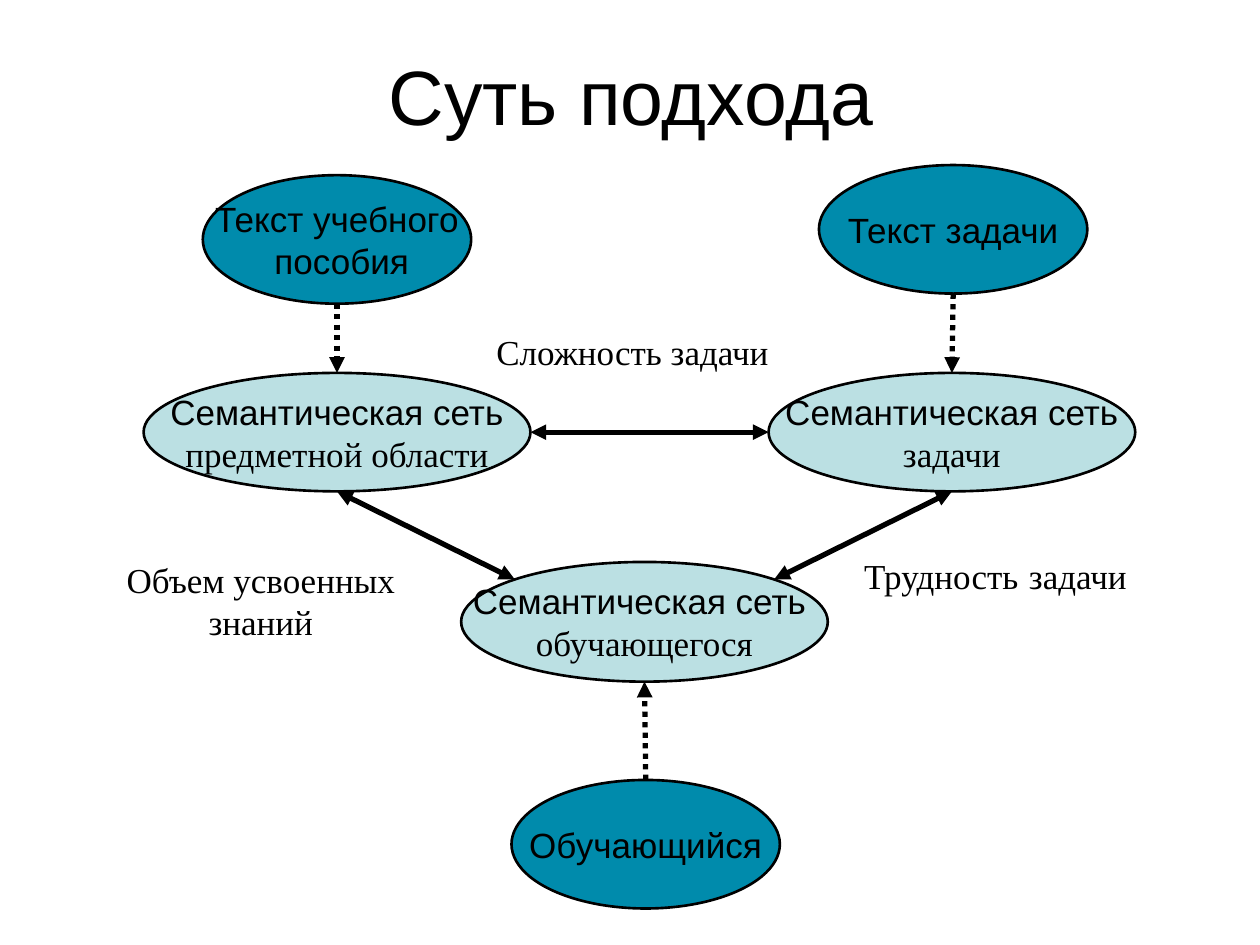
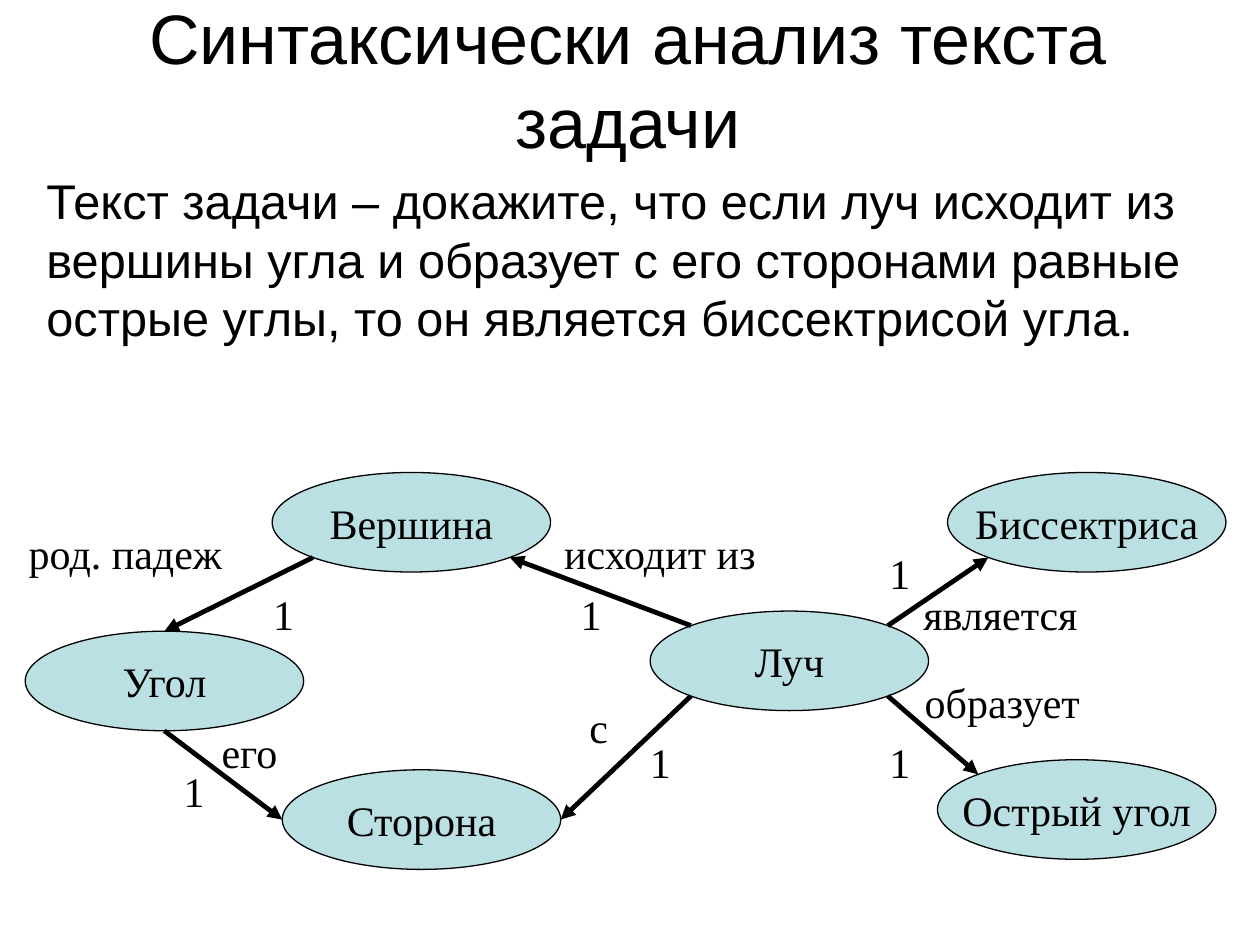
import math

from lxml import etree
from pptx import Presentation
from pptx import util as u
from pptx.dml import color
from pptx.enum import dml, shapes, text
from pptx.oxml import ns

HUES = {"ink": "000000", "pale": "BBE0E3", "deep": "008BAC"}
SANS = "Arial"
SERIF = "Times New Roman"
SITES = ["e", "se", "s", "sw", "w", "nw", "n", "ne"]


class Deck:
    def __init__(self):
        self.file = Presentation()
        self.file.slide_width = u.Inches(10)
        self.file.slide_height = u.Inches(7.5)
        self.slide = None

    def page(self):
        self.slide = self.file.slides.add_slide(self.file.slide_layouts[6])

    def hue(self, name):
        return color.RGBColor.from_string(HUES[name])

    def letter(self, frame, lines, align, anchor, wrap):
        frame.word_wrap = wrap
        frame.vertical_anchor = anchor
        for i, runs in enumerate(lines):
            para = frame.paragraphs[0] if i == 0 else frame.add_paragraph()
            para.alignment = align
            for words, size, font in runs:
                run = para.add_run()
                run.text = words
                run.font.size = u.Pt(size)
                run.font.name = font
                run.font.color.rgb = self.hue("ink")

    def box(self, at, lines, align, anchor=text.MSO_ANCHOR.TOP, wrap=True):
        frame = self.slide.shapes.add_textbox(*map(u.Inches, at)).text_frame
        self.letter(frame, lines, align, anchor, wrap)
        return frame

    def title(self, at, words, size):
        self.box(at, [[(words, size, SANS)]], text.PP_ALIGN.CENTER, text.MSO_ANCHOR.MIDDLE)

    def body(self, at, words, size):
        frame = self.box(at, [[(words, size, SANS)]], text.PP_ALIGN.LEFT)
        frame.paragraphs[0].space_before = u.Pt(7.5)

    def label(self, at, lines, align=text.PP_ALIGN.LEFT):
        frame = self.box(at, lines, align, wrap=False)
        frame.auto_size = text.MSO_AUTO_SIZE.SHAPE_TO_FIT_TEXT

    def oval(self, at, lines, fill, edge):
        oval = self.slide.shapes.add_shape(shapes.MSO_SHAPE.OVAL, *map(u.Inches, at))
        oval.shadow.inherit = False
        oval.fill.solid()
        oval.fill.fore_color.rgb = self.hue(fill)
        oval.line.color.rgb = self.hue("ink")
        oval.line.width = u.Pt(edge)
        self.letter(oval.text_frame, lines, text.PP_ALIGN.CENTER, text.MSO_ANCHOR.MIDDLE, False)
        return oval

    def spot(self, oval, site):
        turn = math.radians(45 * SITES.index(site))
        x = oval.left + oval.width / 2 * (1 + math.cos(turn))
        y = oval.top + oval.height / 2 * (1 + math.sin(turn))
        return round(x), round(y)

    def arrow(self, start, out, end, into, width, both=False, dots=False):
        ends = self.spot(start, out) + self.spot(end, into)
        wire = self.slide.shapes.add_connector(shapes.MSO_CONNECTOR.STRAIGHT, *ends)
        wire.line.color.rgb = self.hue("ink")
        wire.line.width = u.Pt(width)
        if dots:
            wire.line.dash_style = dml.MSO_LINE.ROUND_DOT
        props = wire._element.spPr
        line = props.find(ns.qn("a:ln"))
        for tip in ["headEnd", "tailEnd"] if both else ["tailEnd"]:
            etree.SubElement(line, ns.qn("a:" + tip), type="triangle")
        etree.SubElement(props, ns.qn("a:effectLst"))


def method(deck):
    deck.page()
    deck.title((0.51, 0.13, 9, 1.25), "Суть подхода", 44)

    def net(at, head, tail):
        return deck.oval(at, [[(head, 20, SANS)], [(tail, 20, SERIF)]], "pale", 1.5)

    def source(x, y, *lines):
        return deck.oval((x, y, 2.13, 1.02), [[(line, 20, SANS)] for line in lines], "deep", 1.5)

    task = net((6.1, 2.96, 2.91, 0.94), "Семантическая сеть", "задачи")
    field = net((1.14, 2.96, 3.07, 0.94), "Семантическая сеть", "предметной области")
    pupil = net((3.66, 4.46, 2.91, 0.95), "Семантическая сеть ", "обучающегося")
    for start, out, end, into in [
        (field, "e", task, "w"),
        (pupil, "ne", task, "s"),
        (field, "s", pupil, "nw"),
    ]:
        deck.arrow(start, out, end, into, 3, both=True)

    deck.label((3.84, 2.57, 2.81, 0.44), [[("Сложность задачи", 20, SERIF)]])
    deck.label((6.76, 4.3, 2.73, 0.5),
               [[("Трудность", 20, SERIF), (" ", 24, SERIF), ("задачи", 20, SERIF)]])
    deck.label((0.7, 4.38, 2.74, 0.77),
               [[("Объем усвоенных", 20, SERIF)], [("знаний", 20, SERIF)]],
               text.PP_ALIGN.CENTER)

    book = source(1.61, 1.39, "Текст учебного", " пособия")
    quiz = source(6.5, 1.31, "Текст задачи")
    learner = source(4.06, 6.19, "Обучающийся")
    for start, out, end, into in [
        (learner, "n", pupil, "s"),
        (quiz, "s", task, "n"),
        (book, "s", field, "n"),
    ]:
        deck.arrow(start, out, end, into, 3, dots=True)


def syntax(deck):
    deck.page()
    deck.title((0.16, 0, 9.65, 1.25), "Синтаксически анализ текста задачи", 40)
    deck.body((0.27, 1.31, 9.45, 1.76),
              "Текст задачи – докажите, что если луч исходит из вершины угла и образует "
              "с его сторонами равные острые углы, то он является биссектрисой угла.", 27.8)

    def term(x, y, words):
        return deck.oval((x, y, 2.21, 0.79), [[(words, 24, SERIF)]], "pale", 0.75)

    angle = term(0.2, 5.01, "Угол")
    side = term(2.24, 6.11, "Сторона")
    ray = term(5.16, 4.85, "Луч")
    halver = term(7.52, 3.75, "Биссектриса")
    acute = term(7.44, 6.03, "Острый угол")
    vertex = term(2.16, 3.75, "Вершина")
    for start, out, end, into in [
        (angle, "s", side, "w"),
        (vertex, "sw", angle, "n"),
        (ray, "sw", side, "e"),
        (ray, "nw", vertex, "se"),
        (ray, "ne", halver, "sw"),
        (ray, "se", acute, "nw"),
    ]:
        deck.arrow(start, out, end, into, 2.75)

    counts = [(2.07, 4.62), (1.36, 6.03), (5.06, 5.8), (4.51, 4.62), (6.96, 4.3), (6.96, 5.8)]
    links = [
        (4.38, 4.14, 2.06, "исходит из"),
        (0.13, 4.14, 2.03, "род. падеж"),
        (1.66, 5.72, 0.72, "его"),
        (4.58, 5.52, 0.36, "с"),
        (7.24, 5.32, 1.68, "образует"),
        (7.23, 4.62, 1.69, "является"),
    ]
    for x, y, width, words in [(x, y, 0.38, "1") for x, y in counts] + links:
        deck.label((x, y, width, 0.5), [[(words, 24, SERIF)]])


def main():
    deck = Deck()
    method(deck)
    syntax(deck)
    deck.file.save("out.pptx")


if __name__ == "__main__":
    main()
